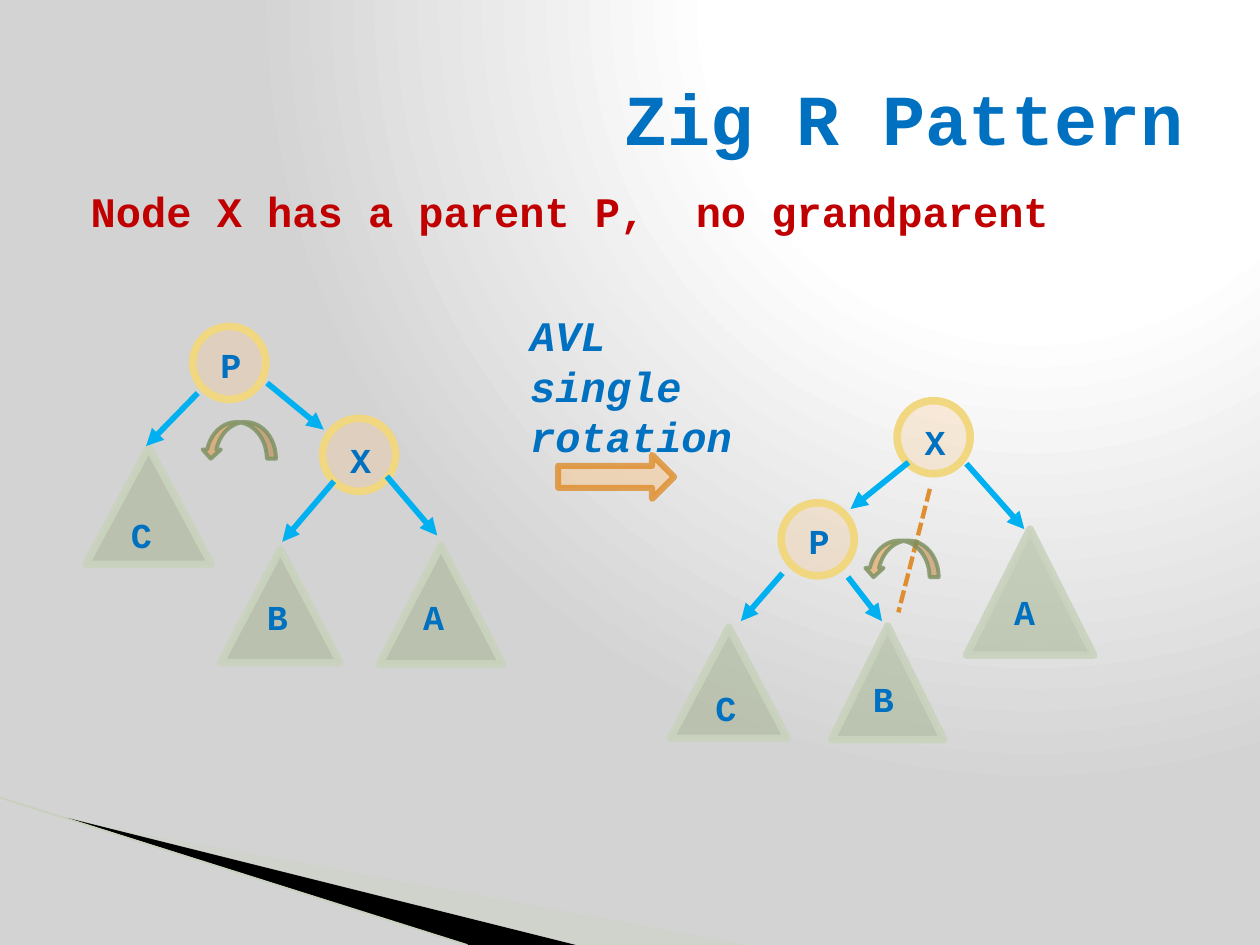
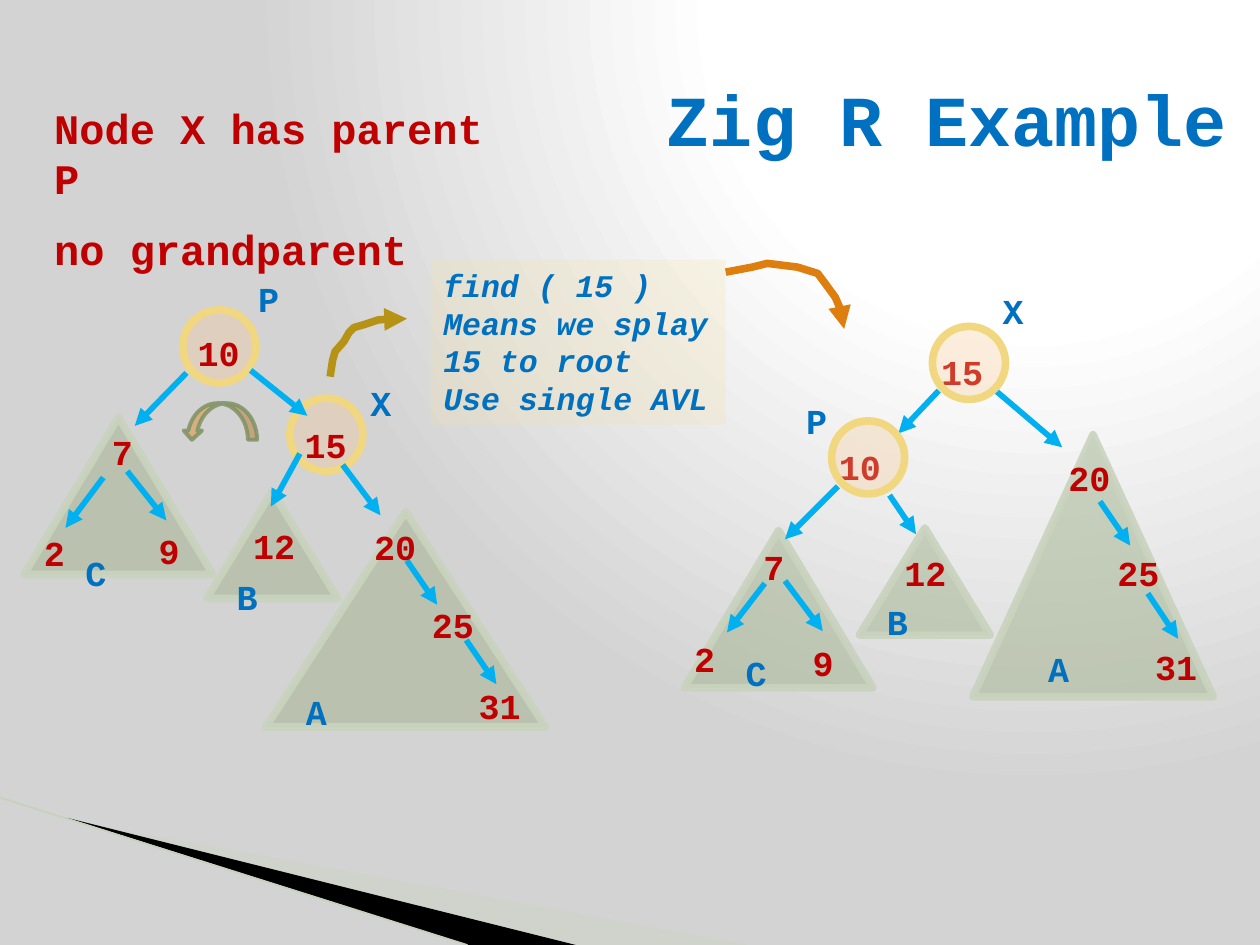
from dataclasses import dataclass
from functools import singledispatch
from typing import NamedTuple

from lxml.etree import SubElement
from pptx import Presentation
from pptx.dml.color import RGBColor
from pptx.enum.dml import MSO_LINE
from pptx.enum.shapes import MSO_CONNECTOR, MSO_SHAPE
from pptx.enum.text import MSO_ANCHOR, MSO_AUTO_SIZE, PP_ALIGN
from pptx.oxml import parse_xml
from pptx.oxml.ns import nsdecls, qn
from pptx.util import Emu, Inches, Pt

WIDTH, HEIGHT = Inches(10), Inches(7.5)
COLS = 100
CELL = WIDTH / COLS
ROWS = HEIGHT / CELL


class Ink(NamedTuple):
    tone: str
    alpha: int = 100


class Edge(NamedTuple):
    ink: Ink
    width: float


class Face(NamedTuple):
    size: float
    tone: str
    italic: bool = False
    align: PP_ALIGN = PP_ALIGN.LEFT
    before: float = 0
    inset: float = 0


@dataclass(frozen=True)
class Theme:
    font: str = "Courier New"
    glow: str = "FFFFFF"
    shade: str = "D3D3D3"
    title: Face = Face(41, "0070C0", align=PP_ALIGN.RIGHT)
    body: Face = Face(24, "C00000", before=12, inset=1.2)
    name: Face = Face(20, "0070C0")
    value: Face = Face(20, "C00000")
    step: Face = Face(24, "0070C0", True, before=4, inset=1.2)
    hint: Face = Face(18, "0070C0", True)
    node: Ink = Ink("F8C891", 30)
    ring: Edge = Edge(Ink("F1D77F"), 4.33)
    tree: Ink = Ink("A5B592", 54)
    rim: Edge = Edge(Ink("C9D3BE", 90), 4.33)
    curl: Ink = Ink("DD7E0E", 42)
    bend: Edge = Edge(Ink("7D9263", 84), 2.25)
    block: Ink = Ink("F8C891", 54)
    frame: Edge = Edge(Ink("DD7E0E", 68), 3.5)
    arm: Edge = Edge(Ink("00B0F0"), 3.25)
    dash: Edge = Edge(Ink("DD7E0E", 83), 2.5)
    gold: Edge = Edge(Ink("B79315"), 4.33)
    amber: Edge = Edge(Ink("DD7E0E"), 4.33)
    panel: Ink = Ink("F5E4A9", 25)
    mist: Ink = Ink("CBD4C0", 40)
    dark: Ink = Ink("000000")
    hair: Edge = Edge(Ink("C6D0BB"), 0.95)


THEME = Theme()


class Box(NamedTuple):
    x: float
    y: float
    w: float
    h: float


class Node(NamedTuple):
    x: float
    y: float


class Tree(NamedTuple):
    x: float
    y: float
    w: float
    h: float


class Arm(NamedTuple):
    x: float
    y: float
    to_x: float
    to_y: float


class Dash(NamedTuple):
    x: float
    y: float
    to_x: float
    to_y: float


class Tag(NamedTuple):
    text: str
    x: float
    y: float


class Curl(NamedTuple):
    x: float
    y: float


class Block(NamedTuple):
    box: Box


class Note(NamedTuple):
    lines: tuple
    box: Box
    face: Face
    fill: Ink | None = None


class Trail(NamedTuple):
    edge: Edge
    spots: tuple


class Scene(NamedTuple):
    title: str
    head: Box
    lines: tuple
    body: Box
    items: tuple


def span(*cells: float) -> list:
    return [Emu(round(cell * CELL)) for cell in cells]


def paint(shape, fill: Ink | None, edge: Edge | None, tail=False, dash=False) -> None:
    props = shape.element.spPr
    if fill:
        shape.fill.solid()
        shape.fill.fore_color.rgb = RGBColor.from_string(fill.tone)
    if edge:
        shape.line.color.rgb = RGBColor.from_string(edge.ink.tone)
        shape.line.width = Pt(edge.width)
        if dash:
            shape.line.dash_style = MSO_LINE.SQUARE_DOT
        line = props.find(qn("a:ln"))
        SubElement(line, qn("a:round"))
        if tail:
            SubElement(line, qn("a:tailEnd"), type="triangle")
    else:
        shape.line.fill.background()
    inks = [ink for ink in (fill, edge and edge.ink) if ink]
    for tone, ink in zip(props.iter(qn("a:srgbClr")), inks):
        if ink.alpha < 100:
            SubElement(tone, qn("a:alpha"), val=str(ink.alpha * 1000))
    SubElement(props, qn("a:effectLst"))


def write(frame, lines: tuple, face: Face) -> None:
    frame.word_wrap = True
    for row, text in enumerate(lines):
        para = frame.add_paragraph() if row else frame.paragraphs[0]
        para.alignment = face.align
        para.space_before = Pt(face.before)
        props = para._p.get_or_add_pPr()
        props.set("marL", str(span(face.inset)[0]))
        props.set("indent", "0")
        SubElement(props, qn("a:buNone"))
        run = para.add_run()
        run.text = text
        font = run.font
        font.name, font.size = THEME.font, Pt(face.size)
        font.bold, font.italic = True, face.italic
        font.color.rgb = RGBColor.from_string(face.tone)


def preset(slide, kind: MSO_SHAPE, box: Box, fill: Ink, edge: Edge):
    shape = slide.shapes.add_shape(kind, *span(*box))
    paint(shape, fill, edge)
    return shape


def link(slide, ends: tuple, edge: Edge, tail=False, dash=False):
    line = slide.shapes.add_connector(MSO_CONNECTOR.STRAIGHT, *span(*ends))
    paint(line, None, edge, tail, dash)
    return line


def outline(slide, spots: tuple, close: bool):
    first, *rest = [span(*spot) for spot in spots]
    pen = slide.shapes.build_freeform(*first)
    pen.add_line_segments(rest, close=close)
    return pen.convert_to_shape()


@singledispatch
def draw(item, slide) -> None:
    raise TypeError(item)


@draw.register
def _(item: Node, slide) -> None:
    preset(slide, MSO_SHAPE.OVAL, Box(*item, 5.8, 5.8), THEME.node, THEME.ring)


@draw.register
def _(item: Tree, slide) -> None:
    preset(slide, MSO_SHAPE.ISOSCELES_TRIANGLE, Box(*item), THEME.tree, THEME.rim)


@draw.register
def _(item: Curl, slide) -> None:
    box = Box(*item, 2.9, 5.9)
    preset(slide, MSO_SHAPE.CURVED_RIGHT_ARROW, box, THEME.curl, THEME.bend).rotation = 90


@draw.register
def _(item: Block, slide) -> None:
    preset(slide, MSO_SHAPE.RIGHT_ARROW, item.box, THEME.block, THEME.frame)


@draw.register
def _(item: Arm, slide) -> None:
    link(slide, item, THEME.arm, tail=True)


@draw.register
def _(item: Dash, slide) -> None:
    link(slide, item, THEME.dash, dash=True)


@draw.register
def _(item: Trail, slide) -> None:
    shape = outline(slide, item.spots, False)
    shape.fill.background()
    paint(shape, None, item.edge, tail=True)


@draw.register
def _(item: Note, slide) -> None:
    shape = slide.shapes.add_textbox(*span(*item.box))
    if item.fill:
        paint(shape, item.fill, None)
    write(shape.text_frame, item.lines, item.face)


@draw.register
def _(item: Tag, slide) -> None:
    face = THEME.value if item.text.isdigit() else THEME.name
    wide = 6.2 if len(item.text) > 1 else 4.9
    shape = slide.shapes.add_textbox(*span(item.x, item.y, wide, 4.4))
    write(shape.text_frame, (item.text,), face)
    shape.text_frame.auto_size = MSO_AUTO_SIZE.SHAPE_TO_FIT_TEXT


def dress(master, slide) -> None:
    fill = master.background.fill
    fill.solid()
    plain = next(master.element.iter(qn("a:solidFill")))
    stops = ((0, THEME.glow), (40, THEME.glow), (100, THEME.shade))
    marks = "".join(f'<a:gs pos="{at * 1000}"><a:srgbClr val="{tone}"/></a:gs>' for at, tone in stops)
    plain.getparent().replace(plain, parse_xml(
        f'<a:gradFill {nsdecls("a")} rotWithShape="1"><a:gsLst>{marks}</a:gsLst>'
        '<a:path path="circle"><a:fillToRect l="65000" b="98000"/></a:path></a:gradFill>'))
    band = outline(slide, ((5.5, 65.1), (59.5, ROWS), (45.6, ROWS)), True)
    paint(band, THEME.mist, None)
    wedge = outline(slide, ((5.3, 64.9), (45.7, ROWS), (37.2, ROWS)), True)
    paint(wedge, THEME.dark, None)
    hair = link(slide, (0, 63.3, 37.1, ROWS), THEME.hair)
    for spot, shape in enumerate((band, wedge, hair), 2):
        master.shapes.element.insert(spot, shape.element)


def show(slide, scene: Scene) -> None:
    title, body = slide.shapes.title, slide.placeholders[1]
    pairs = ((title, scene.head, (scene.title,), THEME.title, MSO_ANCHOR.MIDDLE),
             (body, scene.body, scene.lines, THEME.body, MSO_ANCHOR.TOP))
    for hold, box, lines, face, anchor in pairs:
        hold.left, hold.top, hold.width, hold.height = span(*box)
        hold.text_frame.auto_size = MSO_AUTO_SIZE.NONE
        hold.text_frame.vertical_anchor = anchor
        write(hold.text_frame, lines, face)
    for item in scene.items:
        draw(item, slide)


PATTERN = Scene(
    "Zig R Pattern", Box(5, 3, 90, 12.5),
    ("Node X has a parent P,  no grandparent",), Box(5, 14.2, 90, 6.1),
    (Arm(21.2, 30.4, 25.7, 34.1), Node(15.3, 25.9), Node(25.6, 33.2),
     Tree(30.1, 43.3, 9.8, 9.4), Tree(6.8, 35.5, 10, 9.3), Tree(17.5, 43.6, 9.5, 9),
     Arm(26.5, 38.2, 22.4, 43), Arm(15.7, 31.2, 11.6, 35.4), Arm(30.7, 37.8, 34.7, 42.5),
     Tag("X", 26.8, 34.3), Tag("P", 16.5, 26.8), Tag("A", 32.6, 46.8),
     Tag("B", 20.2, 46.8), Tag("C", 9.4, 40.3), Curl(17.5, 32),
     Node(62, 39.9), Node(71.2, 31.8),
     Tree(76.7, 42, 10.1, 10), Tree(53.2, 49.8, 9.3, 8.8), Tree(66, 49.7, 8.9, 9),
     Arm(62.1, 45.5, 58.8, 49.3), Arm(72.1, 36.7, 67.5, 40.4),
     Arm(67.3, 45.8, 70, 49.3), Arm(76.7, 36.8, 81.3, 42),
     Tag("X", 72.4, 32.9), Tag("C", 55.8, 54), Tag("B", 68.3, 53.3),
     Tag("A", 79.5, 46.4), Tag("P", 63.2, 40.7),
     Block(Box(44.3, 36.1, 9.2, 3.5)), Dash(73.8, 38.8, 71.3, 48.6), Curl(70.1, 41.4),
     Note(("AVL single rotation",), Box(39.9, 24.1, 20.4, 9.1), THEME.step)))

EXAMPLE = Scene(
    "Zig R Example", Box(45.9, 3.1, 52.5, 12.5),
    ("Node X has parent P", "no grandparent"), Box(2.1, 7.6, 39, 10.6),
    (Tree(77.2, 34.5, 19.1, 20.8), Tree(54.3, 42.1, 15, 12.5), Tree(68.2, 41.9, 10.4, 8.5),
     Node(14.5, 24.6), Node(23, 31.6),
     Tree(21.1, 40.6, 22.2, 17.1), Tree(1.9, 33.1, 15, 12.5), Tree(16.4, 39, 10.4, 8.5),
     Arm(19.9, 29.4, 24.4, 33), Arm(23.8, 36, 21.5, 40.2), Arm(14.8, 29.6, 10.7, 33.8),
     Arm(8.2, 37.9, 5.2, 41.9), Arm(10.1, 37.4, 13.2, 41.3), Arm(27.2, 36.9, 30.2, 40.9),
     Arm(32.3, 44.5, 34.7, 48), Arm(37, 50.8, 39.4, 54.3),
     Tag("10", 14.7, 25.8), Tag("9", 11.6, 41.5), Tag("7", 7.9, 33.7), Tag("2", 2.5, 41.7),
     Tag("20", 28.7, 41.2), Tag("12", 19.1, 41.1), Tag("15", 23.2, 33.1),
     Tag("25", 33.3, 47.4), Tag("31", 37, 53.8),
     Note(("find ( 15 )", "Means we splay 15 to root", "Use single AVL"),
          Box(34.2, 20.6, 23.4, 13.1), THEME.hint, THEME.panel),
     Trail(THEME.gold, ((26.2, 29.9), (26.4, 28.6), (26.6, 27.9), (27.3, 27.1), (27.7, 26.4),
                        (28.1, 26), (28.8, 25.8), (30, 25.4), (31.2, 25.3), (32.3, 25.3))),
     Trail(THEME.amber, ((57.6, 21.6), (59.7, 21.2), (60.9, 20.9), (63.3, 21.2), (64.9, 21.7),
                         (65.5, 22.5), (66.3, 23.6), (66.6, 24.3), (67, 25), (67, 26.1))),
     Tag("X", 28.4, 29.8), Tag("P", 19.5, 21.5), Tag("A", 23.3, 54.3),
     Tag("B", 17.8, 45.2), Tag("C", 5.8, 43.3),
     Tag("15", 73.7, 27.3), Tag("10", 65.6, 34.9), Tag("7", 59.6, 42.8),
     Tag("2", 54.1, 50.1), Tag("9", 63.5, 50.4), Tag("12", 70.8, 43.3),
     Tag("20", 83.8, 35.7), Tag("25", 87.7, 43.3), Tag("31", 90.7, 50.7),
     Arm(60.7, 46.3, 57.7, 50.2), Arm(62.3, 46.1, 65.3, 50.1), Arm(66.5, 38.6, 62.3, 42.8),
     Arm(74.5, 31, 71.3, 34.4), Arm(70.6, 39.3, 72.7, 42.4), Arm(78.9, 30.9, 84.3, 35.5),
     Arm(91.1, 47.1, 93.5, 50.7), Arm(87.3, 39.8, 89.7, 43.3),
     Node(74, 25.9), Node(66, 33.4),
     Tag("X", 78.6, 22.5), Tag("P", 63, 31.2), Tag("C", 58.2, 51.2),
     Tag("B", 69.4, 47.2), Tag("A", 82.2, 50.9), Curl(16, 30.5)))


def main() -> None:
    deck = Presentation()
    deck.slide_width, deck.slide_height = WIDTH, HEIGHT
    slides = [deck.slides.add_slide(deck.slide_layouts[1]) for _ in range(2)]
    dress(deck.slide_master, slides[0])
    for slide, scene in zip(slides, (PATTERN, EXAMPLE)):
        show(slide, scene)
    deck.save("out.pptx")


if __name__ == "__main__":
    main()
